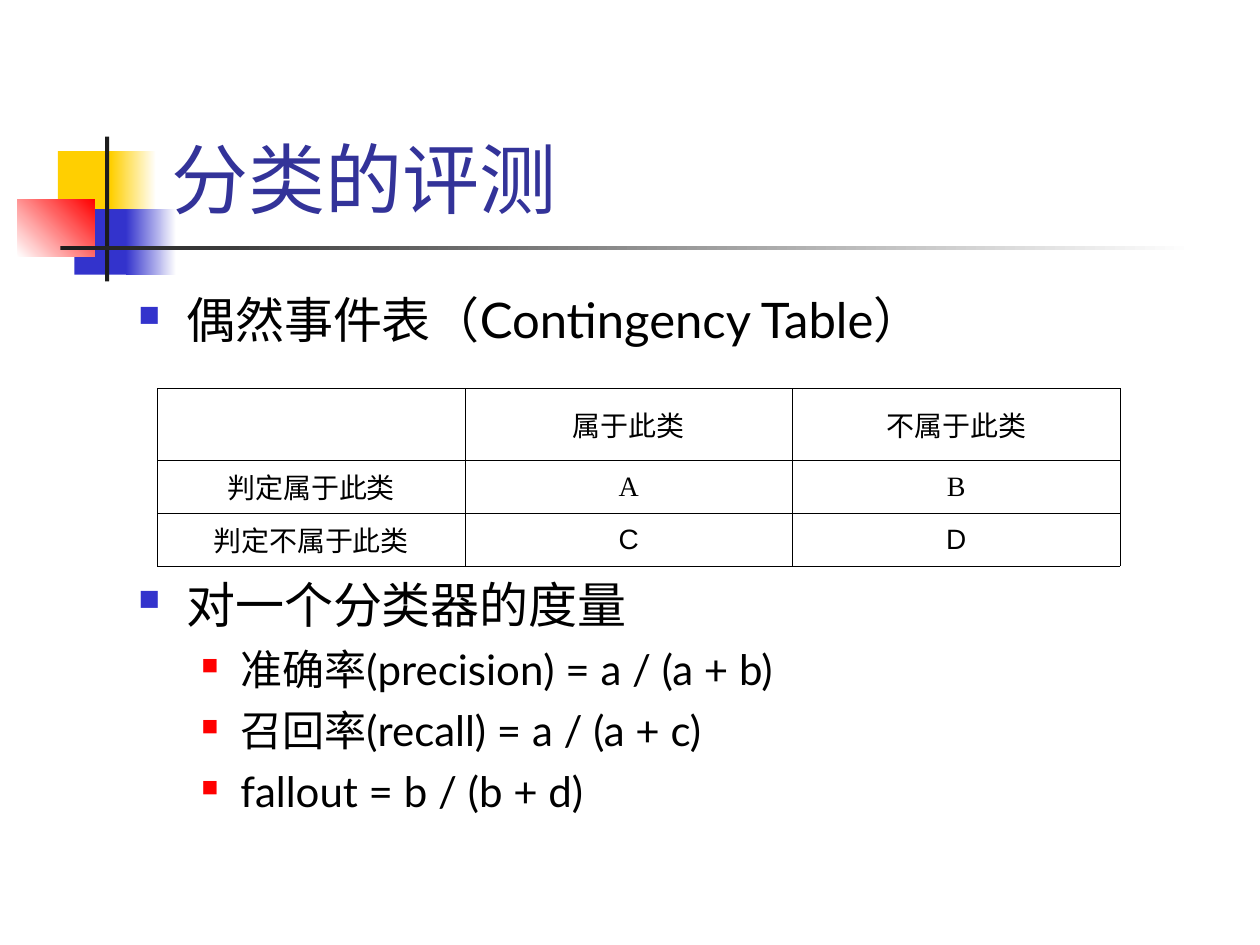
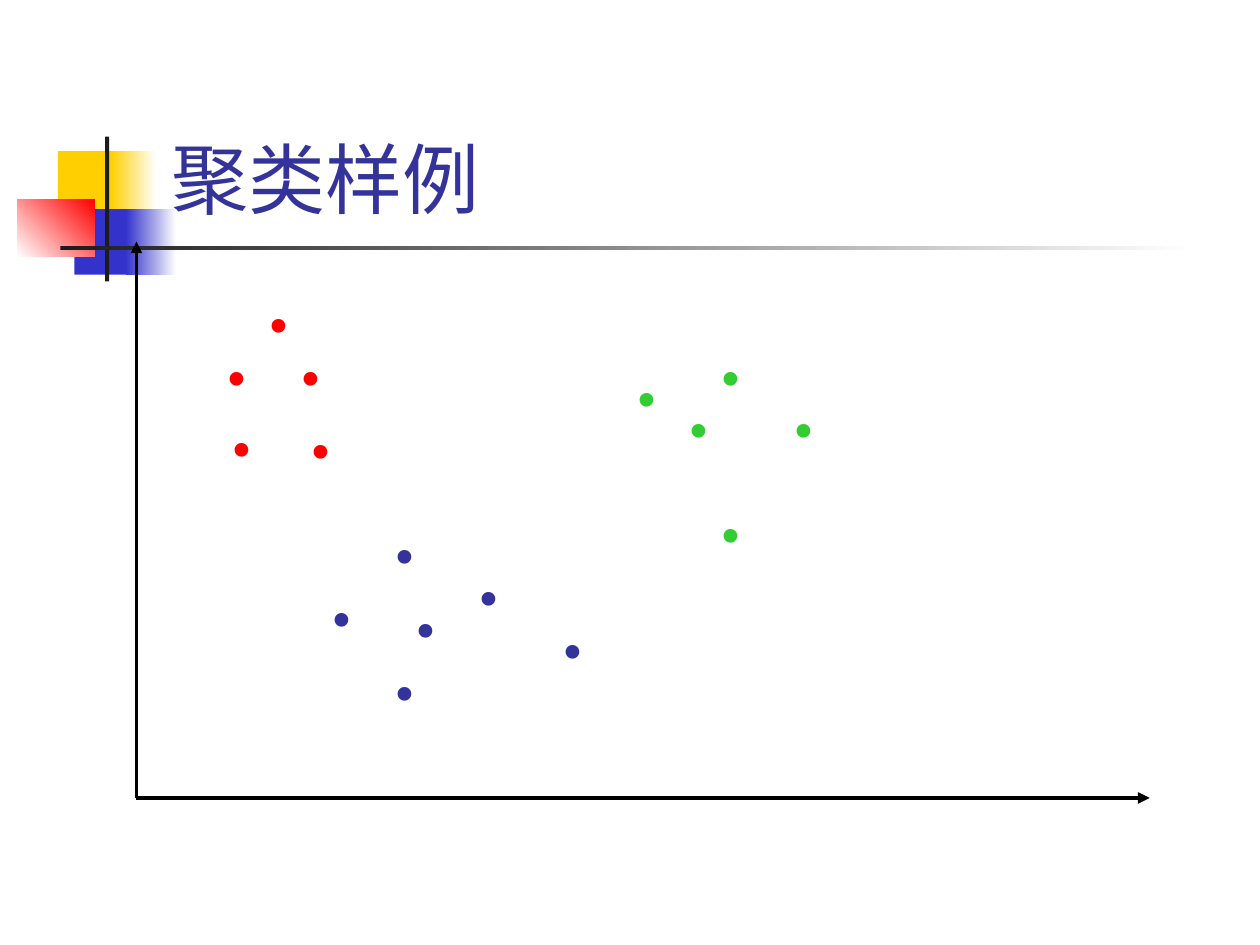
from dataclasses import dataclass
from typing import NamedTuple, Optional

import lxml.etree
import pptx
import pptx.dml.color
import pptx.enum.shapes
import pptx.enum.text
import pptx.oxml
import pptx.oxml.ns
import pptx.util

COLORS = {
    "black": "000000", "white": "FFFFFF", "ink": "1C1C1C", "title": "333399",
    "yellow": "FFCF01", "blue": "3333CC", "red": "FF0000", "green": "33CC33",
}
BODY_FONT, TABLE_FONT, LATIN_FONT = "Lato", "Times New Roman", "Arial"
COLS, ROWS = 120, 90
WIDTH, HEIGHT = pptx.util.Inches(10), pptx.util.Inches(7.5)


class Box(NamedTuple):
    """Left, top, width and height in grid columns and rows."""
    col: float
    row: float
    cols: float
    rows: float


@dataclass
class Block:
    """A rectangle; with fade_to it is a gradient at the given angle."""
    box: Box
    color: str
    fade_to: Optional[str] = None
    angle: float = 0


@dataclass
class BulletStyle:
    size: int
    before: int
    left: float
    hang: float
    color: str
    percent: int


@dataclass
class Bullet:
    text: str
    level: int = 0
    gap: int = 0


class Cluster(NamedTuple):
    color: str
    points: list[tuple[float, float]]


TITLE_BOX = Box(15.12, 2.76, 102.24, 19.2)
BODY_BOX = Box(12, 27, 97.44, 59)
DECORATION = [
    Block(Box(5.52, 14.4, 5.76, 6.24), "yellow"),
    Block(Box(10.56, 14.4, 4.32, 6.24), "yellow", "white"),
    Block(Box(7.08, 19.92, 5.52, 6.24), "blue"),
    Block(Box(12, 19.92, 4.8, 6.24), "blue", "white"),
    Block(Box(1.68, 18.96, 7.32, 5.52), "white", "red", 45),
    Block(Box(10, 13, 0.4, 13.8), "ink"),
    Block(Box(5.76, 23.4, 108, 0.4), "ink", "white"),
]

BULLET_STYLES = [
    BulletStyle(28, 7, 0.38, 0.38, "blue", 60),
    BulletStyle(24, 6, 0.81, 0.31, "red", 55),
]
TABLE_GAP = 122
BULLETS = [
    Bullet("偶然事件表（Contingency Table）"),
    Bullet("对一个分类器的度量", gap=TABLE_GAP),
    Bullet("准确率(precision) = a / (a + b)", 1),
    Bullet("召回率(recall) = a / (a + c)", 1),
    Bullet("fallout = b / (b + d)", 1),
]

TABLE_COLS, TABLE_ROWS = [29.28, 31.2, 31.2], [6.84, 5.04, 5.04]
TABLE_BOX = Box(15, 37, sum(TABLE_COLS), sum(TABLE_ROWS))
CONTINGENCY = [
    ["", "属于此类", "不属于此类"],
    ["判定属于此类", "A", "B"],
    ["判定不属于此类", "C", "D"],
]

ORIGIN, Y_END, X_END = (13, 76), (13, 23), (109.5, 76)
DOT_COLS, DOT_ROWS = 5.2, 14.4
CLUSTERS = [
    Cluster("red", [(20.4, 31.8), (20, 25), (28, 32), (27, 25), (24, 20)]),
    Cluster("title", [(30, 48), (44, 46), (36, 55), (52, 51), (38, 49), (36, 42)]),
    Cluster("green", [(59, 27), (74, 30), (64, 30), (67, 25), (67, 40)]),
]


def x(cols: float) -> int:
    return round(WIDTH * cols / COLS)


def y(rows: float) -> int:
    return round(HEIGHT * rows / ROWS)


def place(box: Box) -> tuple[int, int, int, int]:
    return x(box.col), y(box.row), x(box.cols), y(box.rows)


def rgb(name: str) -> pptx.dml.color.RGBColor:
    return pptx.dml.color.RGBColor.from_string(COLORS[name])


def sub(parent, tag: str, **attrs: str):
    """Append a child element with a prefixed tag."""
    return lxml.etree.SubElement(parent, pptx.oxml.ns.qn(tag), attrs)


def style_runs(p, font: str, size: float, color: str) -> None:
    for r in p.runs:
        r.font.name = font
        r.font.size = pptx.util.Pt(size)
        r.font.color.rgb = rgb(color)


def add_block(slide, block: Block) -> None:
    sp = slide.shapes.add_shape(
        pptx.enum.shapes.MSO_SHAPE.RECTANGLE, *place(block.box))
    sp.shadow.inherit = False
    sp.line.fill.background()
    if block.fade_to:
        sp.fill.gradient()
        sp.fill.gradient_angle = block.angle
        for stop, name in zip(sp.fill.gradient_stops, (block.color, block.fade_to)):
            stop.color.rgb = rgb(name)
    else:
        sp.fill.solid()
        sp.fill.fore_color.rgb = rgb(block.color)


def add_titled_slide(prs, title: str):
    slide = prs.slides.add_slide(prs.slide_layouts[5])
    for block in DECORATION:
        add_block(slide, block)
    sp = slide.shapes.title
    sp.left, sp.top, sp.width, sp.height = place(TITLE_BOX)
    tf = sp.text_frame
    tf.text = title
    tf.auto_size = pptx.enum.text.MSO_AUTO_SIZE.NONE
    tf.vertical_anchor = pptx.enum.text.MSO_ANCHOR.BOTTOM
    p = tf.paragraphs[0]
    p.alignment = pptx.enum.text.PP_ALIGN.LEFT
    style_runs(p, BODY_FONT, 44, "title")
    return slide


def add_bullets(slide, box: Box, bullets: list[Bullet]) -> None:
    tf = slide.shapes.add_textbox(*place(box)).text_frame
    tf.word_wrap = True
    for i, bullet in enumerate(bullets):
        style = BULLET_STYLES[bullet.level]
        p = tf.add_paragraph() if i else tf.paragraphs[0]
        p.text = bullet.text
        p.level = bullet.level
        p.space_before = pptx.util.Pt(style.before + bullet.gap)
        style_runs(p, BODY_FONT, style.size, "black")
        pPr = p._p.get_or_add_pPr()
        pPr.set("marL", str(pptx.util.Inches(style.left)))
        pPr.set("indent", str(-pptx.util.Inches(style.hang)))
        sub(sub(pPr, "a:buClr"), "a:srgbClr", val=COLORS[style.color])
        sub(pPr, "a:buSzPct", val=str(style.percent * 1000))
        sub(pPr, "a:buChar", char="■")


def add_borders(cell) -> None:
    tcPr = cell._tc.get_or_add_tcPr()
    for side in "LRTB":
        ln = sub(tcPr, f"a:ln{side}", w=str(pptx.util.Pt(0.45)))
        sub(sub(ln, "a:solidFill"), "a:srgbClr", val=COLORS["black"])


def add_contingency_table(slide) -> None:
    table = slide.shapes.add_table(
        len(TABLE_ROWS), len(TABLE_COLS), *place(TABLE_BOX)).table
    table.first_row = table.horz_banding = False
    for column, cols in zip(table.columns, TABLE_COLS):
        column.width = x(cols)
    for row, rows, texts in zip(table.rows, TABLE_ROWS, CONTINGENCY):
        row.height = y(rows)
        for cell, text in zip(row.cells, texts):
            add_borders(cell)
            cell.fill.background()
            cell.vertical_anchor = pptx.enum.text.MSO_ANCHOR.MIDDLE
            cell.text = text
            p = cell.text_frame.paragraphs[0]
            p.alignment = pptx.enum.text.PP_ALIGN.CENTER
            style_runs(p, LATIN_FONT if text in ("C", "D") else TABLE_FONT, 16, "black")


def add_axis(slide, end: tuple[float, float]) -> None:
    line = slide.shapes.add_connector(
        pptx.enum.shapes.MSO_CONNECTOR.STRAIGHT,
        x(ORIGIN[0]), y(ORIGIN[1]), x(end[0]), y(end[1]))
    line.line.color.rgb = rgb("black")
    line.line.width = pptx.util.Pt(2.25)
    sub(line.line._get_or_add_ln(), "a:tailEnd", type="triangle")
    sub(line._element.spPr, "a:effectLst")


def add_dot(slide, col: float, row: float, color: str) -> None:
    tf = slide.shapes.add_textbox(
        *place(Box(col, row, DOT_COLS, DOT_ROWS))).text_frame
    tf.text = "."
    tf.word_wrap = False
    tf.auto_size = pptx.enum.text.MSO_AUTO_SIZE.SHAPE_TO_FIT_TEXT
    p = tf.paragraphs[0]
    p.alignment = pptx.enum.text.PP_ALIGN.CENTER
    style_runs(p, TABLE_FONT, 66, color)


def main() -> None:
    prs = pptx.Presentation()
    prs.slide_width, prs.slide_height = WIDTH, HEIGHT

    evaluation = add_titled_slide(prs, "分类的评测")
    add_bullets(evaluation, BODY_BOX, BULLETS)
    add_contingency_table(evaluation)

    clustering = add_titled_slide(prs, "聚类样例")
    for end in (Y_END, X_END):
        add_axis(clustering, end)
    for cluster in CLUSTERS:
        for col, row in cluster.points:
            add_dot(clustering, col, row, cluster.color)

    prs.save("out.pptx")


if __name__ == "__main__":
    main()
